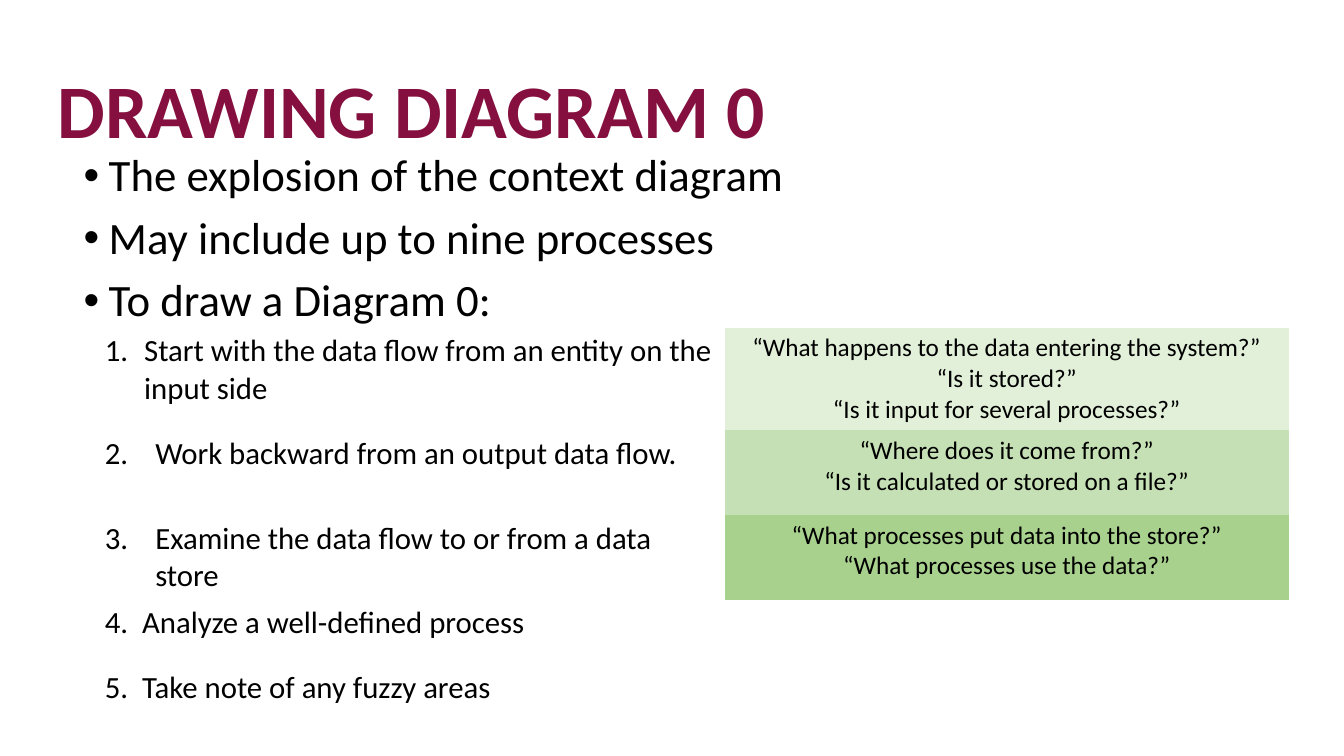
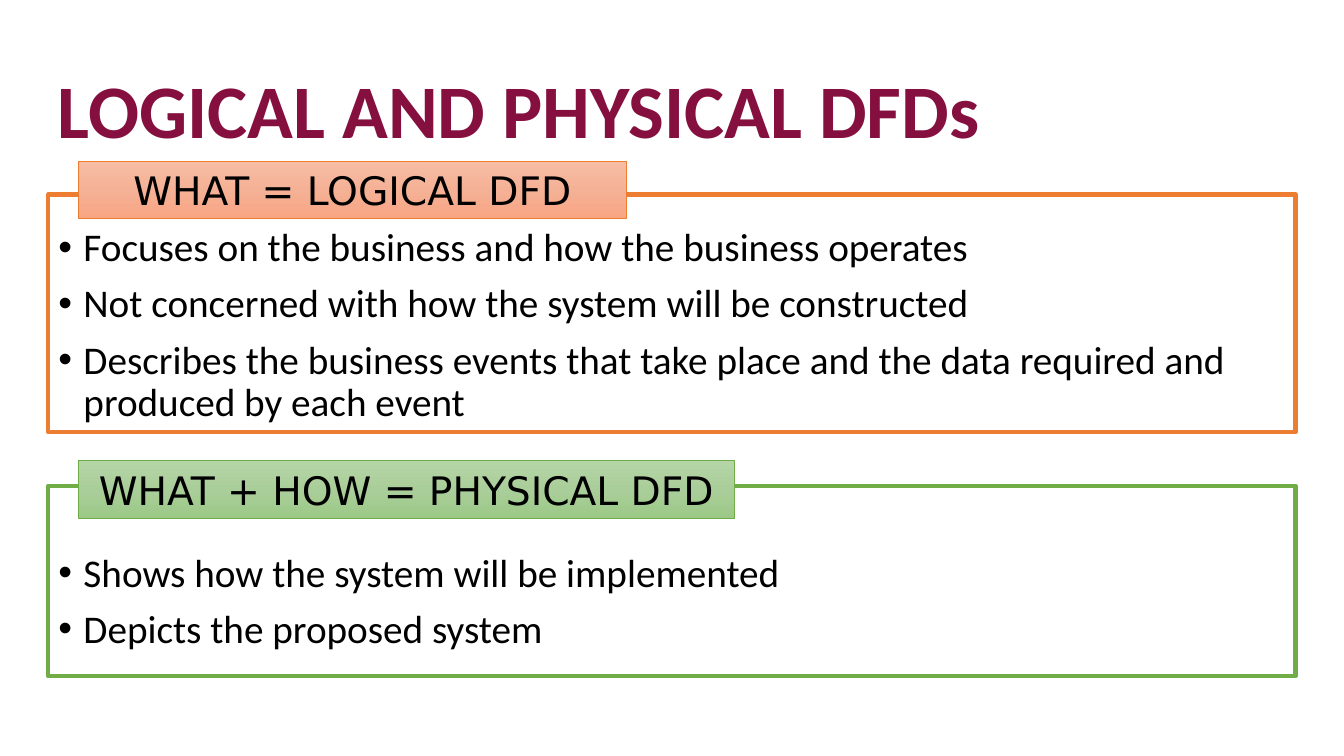
from copy import deepcopy

from lxml.etree import SubElement
from pptx import Presentation
from pptx.dml.color import RGBColor
from pptx.enum.shapes import MSO_SHAPE
from pptx.enum.text import MSO_ANCHOR, MSO_AUTO_SIZE, PP_ALIGN
from pptx.oxml.ns import qn
from pptx.util import Inches, Pt

WINE = RGBColor(0x85, 0x10, 0x3F)
BLACK = RGBColor(0x00, 0x00, 0x00)
ORANGE = RGBColor(0xED, 0x7D, 0x31)
GREEN = RGBColor(0x70, 0xAD, 0x47)
PEACH = [RGBColor(0xF7, 0xBD, 0xA5), RGBColor(0xF5, 0xB1, 0x96), RGBColor(0xF8, 0xA5, 0x82)]
SAGE = [RGBColor(0xB5, 0xD5, 0xA7), RGBColor(0xAA, 0xCE, 0x9A), RGBColor(0x9C, 0xC9, 0x87)]
TINTS = [RGBColor(0xE2, 0xF0, 0xD9), RGBColor(0xC5, 0xE0, 0xB4), RGBColor(0xA9, 0xD1, 0x8E)]
FONT = "Calibri"
TAG_FONT = "DejaVu Sans"
NO_GRID = "{2D5ABB26-0587-4C30-8999-92F81FD0307C}"

STEPS = [  # step, its hanging indent, row height, questions
    ("Start with the data flow from an entity on the input side", 0.39, 1.02,
     ["“What happens to the data entering the system?”", "“Is it stored?”",
      "“Is it input for several processes?”"]),
    ("Work backward from an output data flow.", 0.5, 0.84,
     ["“Where does it come from?”", "“Is it calculated or stored on a file?”"]),
    ("Examine the data flow to or from a data store", 0.5, 0.84,
     ["“What processes put data into the store?”", "“What processes use the data?”"]),
    ("Analyze a well-defined process", 0.37, 0.64, []),
    ("Take note of any fuzzy areas", 0.37, 0.64, []),
]


def mark(para, hang, start):
    """Hang the paragraph on a number, or on a bullet when start is None."""
    props = para._p.get_or_add_pPr()
    props.set("marL", str(Inches(hang)))
    props.set("indent", str(-Inches(hang)))
    if start is None:
        SubElement(props, qn("a:buFont"), typeface="Arial")
        SubElement(props, qn("a:buChar"), char="•")
    else:
        SubElement(props, qn("a:buAutoNum"), type="arabicPeriod", startAt=str(start))


def write(frame, lines, size, font=FONT, color=BLACK, bold=False, align=PP_ALIGN.LEFT,
          lead=None, gap=0, hang=0, start=None, anchor=MSO_ANCHOR.TOP):
    frame.word_wrap = True
    frame.vertical_anchor = anchor
    for i, line in enumerate(lines):
        para = frame.add_paragraph() if i else frame.paragraphs[0]
        para.alignment = align
        if lead:
            para.line_spacing = lead
        if i and gap:
            para.space_before = Pt(gap)
        if hang:
            mark(para, hang, start)
        run = para.add_run()
        run.text = line
        run.font.name = font
        run.font.size = Pt(size)
        run.font.bold = bold
        run.font.color.rgb = color


def place(box):
    return [Inches(n) for n in box]


def head(deck, text):
    """Add a slide with its title."""
    slide = deck.slides.add_slide(deck.slide_layouts[5])
    title = slide.shapes.title
    title.left, title.top, title.width, title.height = place((0.47, 0.68, 11.5, 1))
    title.text_frame.auto_size = MSO_AUTO_SIZE.NONE
    write(title.text_frame, [text], 54, color=WINE, bold=True, lead=0.9)
    return slide


def points(slide, box, lines, size):
    frame = slide.shapes.add_textbox(*place(box)).text_frame
    write(frame, lines, size, lead=0.9, gap=10, hang=0.25)


def block(slide, box, edge, weight):
    shape = slide.shapes.add_shape(MSO_SHAPE.RECTANGLE, *place(box))
    shape.shadow.inherit = False
    shape.fill.background()
    shape.line.color.rgb = edge
    shape.line.width = Pt(weight)
    return shape


def blend(shape, tones):
    """Fill from top to bottom with three evenly spaced tones."""
    fill = shape.fill
    fill.gradient()
    fill.gradient_angle = 270
    stops = shape._element.spPr.find(qn("a:gradFill")).find(qn("a:gsLst"))
    stops.insert(1, deepcopy(stops[0]))
    for i, (stop, tone) in enumerate(zip(fill.gradient_stops, tones)):
        stop.position = i / 2
        stop.color.rgb = tone


def panel(slide, box, edge, tones, label, wide, rise, drop, lines):
    """Framed list; the label starts rise above the frame, the list drop below."""
    left, top, width, height = box
    block(slide, box, edge, 3)
    points(slide, (left, top + drop, 12, height - drop), lines, 28)
    tag = block(slide, (left + 0.3, top - rise, wide, 0.57), edge, 0.5)
    blend(tag, tones)
    write(tag.text_frame, [label], 28, font=TAG_FONT, align=PP_ALIGN.CENTER,
          anchor=MSO_ANCHOR.MIDDLE)


def steps(slide, left, top, widths):
    high = sum(step[2] for step in STEPS)
    box = place((left, top, sum(widths), high))
    table = slide.shapes.add_table(len(STEPS), len(widths), *box).table
    table.first_row = table.horz_banding = False
    table._tbl.tblPr.find(qn("a:tableStyleId")).text = NO_GRID
    for col, width in zip(table.columns, widths):
        col.width = Inches(width)
    for i, (text, hang, tall, asks) in enumerate(STEPS):
        table.rows[i].height = Inches(tall)
        task, note = table.cell(i, 0), table.cell(i, 1)
        task.fill.background()
        write(task.text_frame, [text], 22, hang=hang, start=i + 1)
        if asks:
            note.fill.solid()
            note.fill.fore_color.rgb = TINTS[i]
            write(note.text_frame, asks, 18, align=PP_ALIGN.CENTER)
        else:
            note.fill.background()


def drawing(deck):
    slide = head(deck, "DRAWING DIAGRAM 0")
    points(slide, (0.73, 1.47, 7.35, 1.78),
           ["The explosion of the context diagram", "May include up to nine processes",
            "To draw a Diagram 0:"], 32)
    steps(slide, 0.94, 3.25, (6.25, 5.59))


def kinds(deck):
    slide = head(deck, "LOGICAL AND PHYSICAL DFDs")
    panel(slide, (0.48, 1.93, 12.37, 2.36), ORANGE, PEACH, "WHAT = LOGICAL DFD",
          5.43, 0.33, 0.28,
          ["Focuses on the business and how the business operates",
           "Not concerned with how the system will be constructed",
           "Describes the business events that take place and the data required "
           "and produced by each event"])
    panel(slide, (0.48, 4.82, 12.37, 1.89), GREEN, SAGE, "WHAT + HOW = PHYSICAL DFD",
          6.5, 0.25, 0.62,
          ["Shows how the system will be implemented", "Depicts the proposed system"])


def main():
    deck = Presentation()
    deck.slide_width, deck.slide_height = Inches(13.33), Inches(7.5)
    drawing(deck)
    kinds(deck)
    deck.save("out.pptx")


if __name__ == "__main__":
    main()
